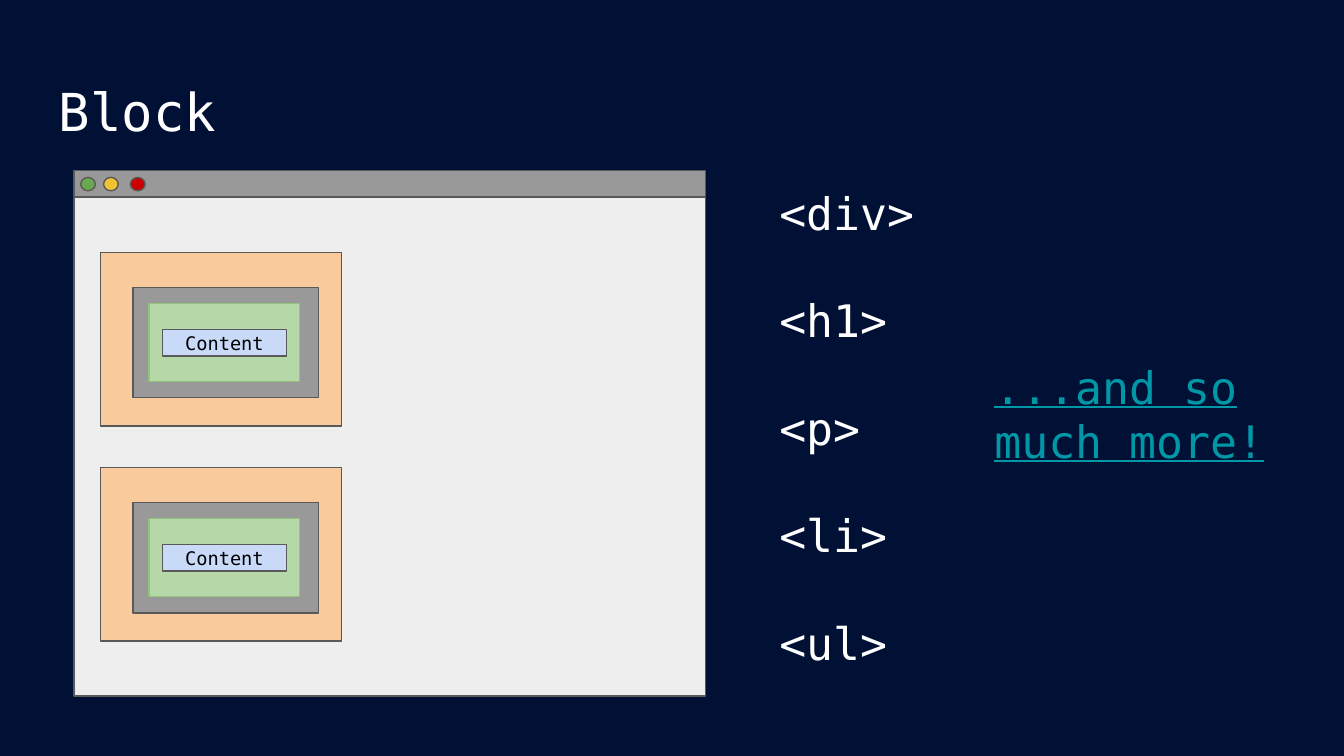
from pptx import Presentation
from pptx.dml.color import RGBColor
from pptx.enum.shapes import MSO_SHAPE
from pptx.enum.text import MSO_ANCHOR, PP_ALIGN
from pptx.util import Inches, Pt

RECTANGLE, OVAL = MSO_SHAPE.RECTANGLE, MSO_SHAPE.OVAL
TOP, MIDDLE, CENTER = MSO_ANCHOR.TOP, MSO_ANCHOR.MIDDLE, PP_ALIGN.CENTER
FONT = "DejaVu Sans Mono"

NAVY = RGBColor(0x01, 0x10, 0x35)
WHITE = RGBColor(0xFF, 0xFF, 0xFF)
BLACK = RGBColor(0x00, 0x00, 0x00)
TEAL = RGBColor(0x00, 0x97, 0xA7)
OUTLINE = RGBColor(0x59, 0x59, 0x59)
LIGHT_GRAY = RGBColor(0xEE, 0xEE, 0xEE)
GRAY = RGBColor(0x99, 0x99, 0x99)
ORANGE = RGBColor(0xF9, 0xCB, 0x9C)
PALE_GREEN = RGBColor(0xB6, 0xD7, 0xA8)
MID_GREEN = RGBColor(0x93, 0xC4, 0x7D)
PALE_BLUE = RGBColor(0xC9, 0xDA, 0xF8)
GREEN = RGBColor(0x6A, 0xA8, 0x4F)
YELLOW = RGBColor(0xF1, 0xC2, 0x32)
RED = RGBColor(0xCC, 0x00, 0x00)

TITLE = "Block"
TAGS = ["<div>", "<h1>", "<p>", "<li>", "<ul>"]
MORE = "...and so much more!"
BLOCK_LABEL = "Content"
BLOCK_LEFT, BLOCK_TOP, BLOCK_STEP, BLOCK_COUNT = 0.75, 1.88, 1.6, 2
BOX_MODEL = [
    (0, 0, 1.79, 1.29, ORANGE, OUTLINE),
    (0.24, 0.26, 1.38, 0.82, GRAY, OUTLINE),
    (0.36, 0.38, 1.12, 0.58, PALE_GREEN, MID_GREEN),
    (0.46, 0.57, 0.92, 0.2, PALE_BLUE, OUTLINE),
]
WINDOW_BUTTONS = [(0.6, GREEN), (0.77, YELLOW), (0.97, RED)]


def add_figure(page, kind, left, top, width, height, fill, outline=OUTLINE):
    figure = page.shapes.add_shape(
        kind, Inches(left), Inches(top), Inches(width), Inches(height))
    figure.shadow.inherit = False
    figure.fill.solid()
    figure.fill.fore_color.rgb = fill
    figure.line.color.rgb = outline
    figure.line.width = Pt(0.75)
    return figure


def write(frame, lines, size, color, gap=0, underline=None):
    frame.word_wrap = True
    frame.margin_left = frame.margin_right = Inches(0.1)
    frame.margin_top = frame.margin_bottom = Inches(0.1)
    frame.text = "\n".join(lines)
    for index, para in enumerate(frame.paragraphs):
        if index:
            para.space_before = Pt(gap)
        for span in para.runs:
            span.font.name = FONT
            span.font.size = Pt(size)
            span.font.color.rgb = color
            span.font.underline = underline


def add_text(page, left, top, width, height, lines, size, color, **style):
    box = page.shapes.add_textbox(
        Inches(left), Inches(top), Inches(width), Inches(height))
    box.text_frame.vertical_anchor = TOP
    write(box.text_frame, lines, size, color, **style)


deck = Presentation()
deck.slide_width = Inches(10)
deck.slide_height = deck.slide_width * 9 // 16
page = deck.slides.add_slide(deck.slide_layouts[6])
page.background.fill.solid()
page.background.fill.fore_color.rgb = NAVY

add_figure(page, RECTANGLE, 0.55, 1.47, 4.7, 3.71, LIGHT_GRAY)
add_text(page, 0.34, 0.49, 9.32, 0.63, [TITLE], 28, WHITE)

for number in range(BLOCK_COUNT):
    block_top = BLOCK_TOP + number * BLOCK_STEP
    for left, top, width, height, fill, outline in BOX_MODEL:
        layer = add_figure(page, RECTANGLE, BLOCK_LEFT + left, block_top + top,
                           width, height, fill, outline)
    layer.text_frame.vertical_anchor = MIDDLE
    write(layer.text_frame, [BLOCK_LABEL], 10, BLACK)
    layer.text_frame.paragraphs[0].alignment = CENTER

add_figure(page, RECTANGLE, 0.55, 1.27, 4.7, 0.19, GRAY)
for left, color in WINDOW_BUTTONS:
    add_figure(page, OVAL, left, 1.32, 0.11, 0.1, color)

add_text(page, 5.7, 1.28, 1.29, 4.08, TAGS, 24, WHITE, gap=28.8)
add_text(page, 7.3, 2.58, 2.22, 0.95, [MORE], 24, TEAL, underline=True)

deck.save("out.pptx")
